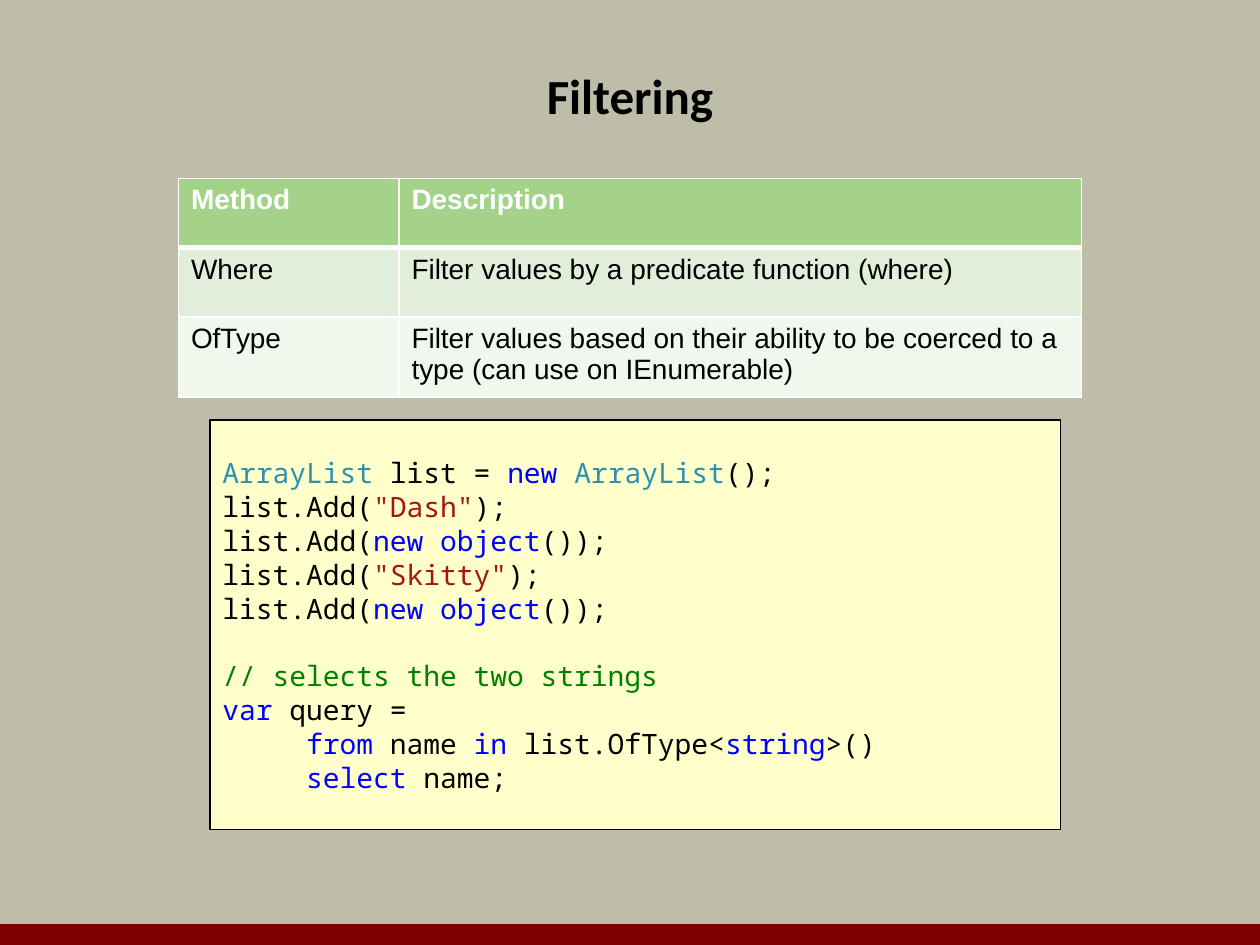
"""Build the Filtering slide: a table of methods above a code sample."""
from lxml.etree import SubElement
from pptx import Presentation
from pptx.dml.color import RGBColor
from pptx.enum.shapes import MSO_CONNECTOR as Connector, MSO_SHAPE as Shape
from pptx.enum.text import MSO_ANCHOR as Anchor, PP_ALIGN as Align
from pptx.oxml.ns import qn
from pptx.util import Inches, Pt

COLORS = {
    "background": "BDBDA9", "bar": "800000", "black": "000000", "white": "FFFFFF",
    "header": "A4D289", "odd": "E0EEDA", "even": "F0F7ED", "panel": "FFFFCC",
    "type": "2B91AF", "keyword": "0000FF", "string": "A31515", "comment": "008000",
}
FONTS = {
    "title": {"name": "Calibri", "size": Pt(28), "bold": True},
    "header": {"name": "Arial", "size": Pt(16), "bold": True},
    "body": {"name": "Arial", "size": Pt(16), "bold": False},
    "code": {"name": "Noto Sans Mono", "size": Pt(16), "bold": False},
}
METHODS = [
    ("Method", "Description"),
    ("Where", "Filter values by a predicate function (where)"),
    ("OfType", "Filter values based on their ability to be coerced to a type "
               "(can use on IEnumerable)"),
]
ADD_OBJECT = [("list.Add(", "black"), ("new object", "keyword"), ("());", "black")]
CODE = [
    [("ArrayList", "type"), (" list = ", "black"), ("new ", "keyword"),
     ("ArrayList", "type"), ("();", "black")],
    [("list.Add(", "black"), ('"Dash"', "string"), (");", "black")],
    ADD_OBJECT,
    [("list.Add(", "black"), ('"Skitty"', "string"), (");", "black")],
    ADD_OBJECT,
    [(" ", "black")],
    [("// selects the two strings", "comment")],
    [("var", "keyword"), (" query =", "black")],
    [("     ", "black"), ("from", "keyword"), (" name ", "black"), ("in ", "keyword"),
     ("list.OfType<", "black"), ("string", "keyword"), (">()", "black")],
    [("     ", "black"), ("select", "keyword"), (" name;", "black")],
]


def color(name):
    """Return the named colour."""
    return RGBColor.from_string(COLORS[name])


class SlideBuilder:
    """Draw elements on one slide over a grid of 120 columns and 90 rows."""

    def __init__(self, presentation):
        """Add a blank slide with its background."""
        self.unit = presentation.slide_width // 120
        self.slide = presentation.slides.add_slide(presentation.slide_layouts[6])
        self.fill(self.slide.background, "background")

    def grid(self, *cells):
        """Turn grid counts into lengths."""
        return [round(cell * self.unit) for cell in cells]

    def fill(self, target, name):
        """Fill a target with a solid colour."""
        target.fill.solid()
        target.fill.fore_color.rgb = color(name)

    def add_lines(self, frame, lines, style, **formats):
        """Put lines of coloured runs into a text frame."""
        frame.word_wrap = True
        for index, line in enumerate(lines):
            paragraph = frame.paragraphs[0] if index == 0 else frame.add_paragraph()
            for key, value in formats.items():
                setattr(paragraph, key, value)
            for text, name in line:
                run = paragraph.add_run()
                run.text = text
                for key, value in FONTS[style].items():
                    setattr(run.font, key, value)
                run.font.color.rgb = color(name)

    def title(self, text, *place):
        """Add the centred title."""
        frame = self.slide.shapes.add_textbox(*self.grid(*place)).text_frame
        frame.vertical_anchor = Anchor.MIDDLE
        self.add_lines(frame, [[(text, "black")]], "title", alignment=Align.CENTER)

    def bar(self, row, width):
        """Add a thick line across the slide."""
        line = self.slide.shapes.add_connector(
            Connector.STRAIGHT, *self.grid(0, row, 120, row))
        line.line.width = Pt(width)
        line.line.color.rgb = color("bar")
        SubElement(line._element.spPr, qn("a:effectLst"))

    def borders(self, cell, edges):
        """Give a cell white borders, with its own top and bottom widths."""
        properties = cell._tc.get_or_add_tcPr()
        widths = {"lnL": 1, "lnR": 1, **edges}
        for index, (tag, width) in enumerate(widths.items()):
            border = properties.makeelement(qn(f"a:{tag}"), {"w": str(Pt(width))})
            solid = SubElement(border, qn("a:solidFill"))
            SubElement(solid, qn("a:srgbClr"), val=COLORS["white"])
            properties.insert(index, border)

    def table(self, rows, columns, row_height, left, top):
        """Add a table with a header row and banded body rows."""
        place = self.grid(left, top, sum(columns), row_height * len(rows))
        table = self.slide.shapes.add_table(len(rows), len(columns), *place).table
        for column, width in zip(table.columns, self.grid(*columns)):
            column.width = width
        for row, texts in enumerate(rows):
            band = "header" if row == 0 else ("even", "odd")[row % 2]
            style, ink = ("header", "white") if row == 0 else ("body", "black")
            for column, text in enumerate(texts):
                cell = table.cell(row, column)
                self.fill(cell, band)
                self.borders(cell, {"lnT": 3 if row == 1 else 1,
                                    "lnB": 3 if row == 0 else 1})
                self.add_lines(cell.text_frame, [[(text, ink)]], style,
                               alignment=Align.LEFT)

    def code(self, lines, *place):
        """Add an outlined panel of code."""
        panel = self.slide.shapes.add_shape(Shape.RECTANGLE, *self.grid(*place))
        panel.shadow.inherit = False
        self.fill(panel, "panel")
        panel.line.color.rgb = color("black")
        panel.line.width = Pt(0.75)
        panel.text_frame.vertical_anchor = Anchor.MIDDLE
        self.add_lines(panel.text_frame, lines, "code",
                       alignment=Align.LEFT, line_spacing=1.01)


def main():
    """Build and save the presentation."""
    presentation = Presentation()
    presentation.slide_width, presentation.slide_height = Inches(10), Inches(7.5)
    builder = SlideBuilder(presentation)
    builder.bar(89, 12)
    builder.title("Filtering", 6, 4, 108, 10)
    builder.table(METHODS, (21, 65), 6.6, 17, 17)
    builder.code(CODE, 20, 40, 81, 39)
    presentation.save("out.pptx")


if __name__ == "__main__":
    main()
